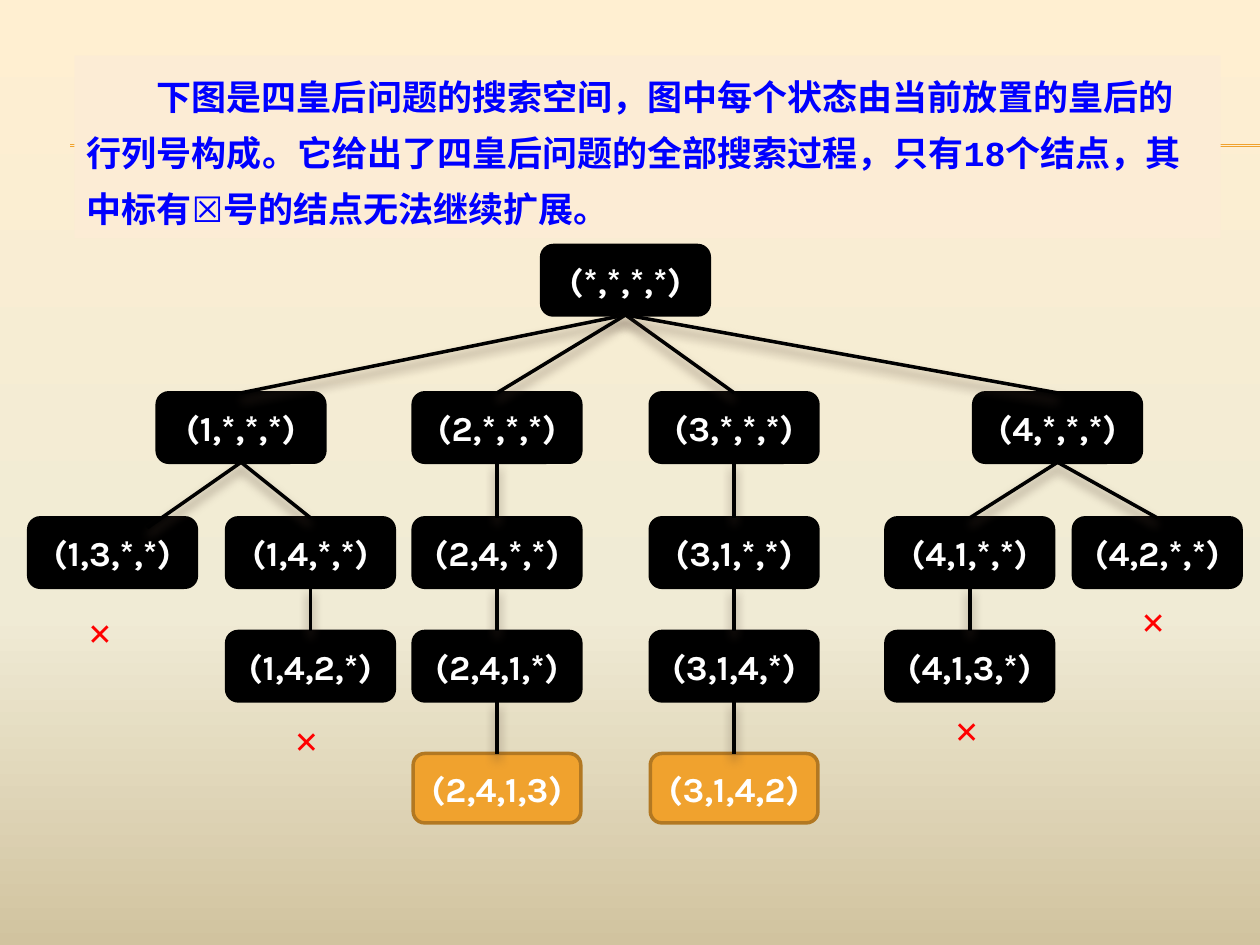
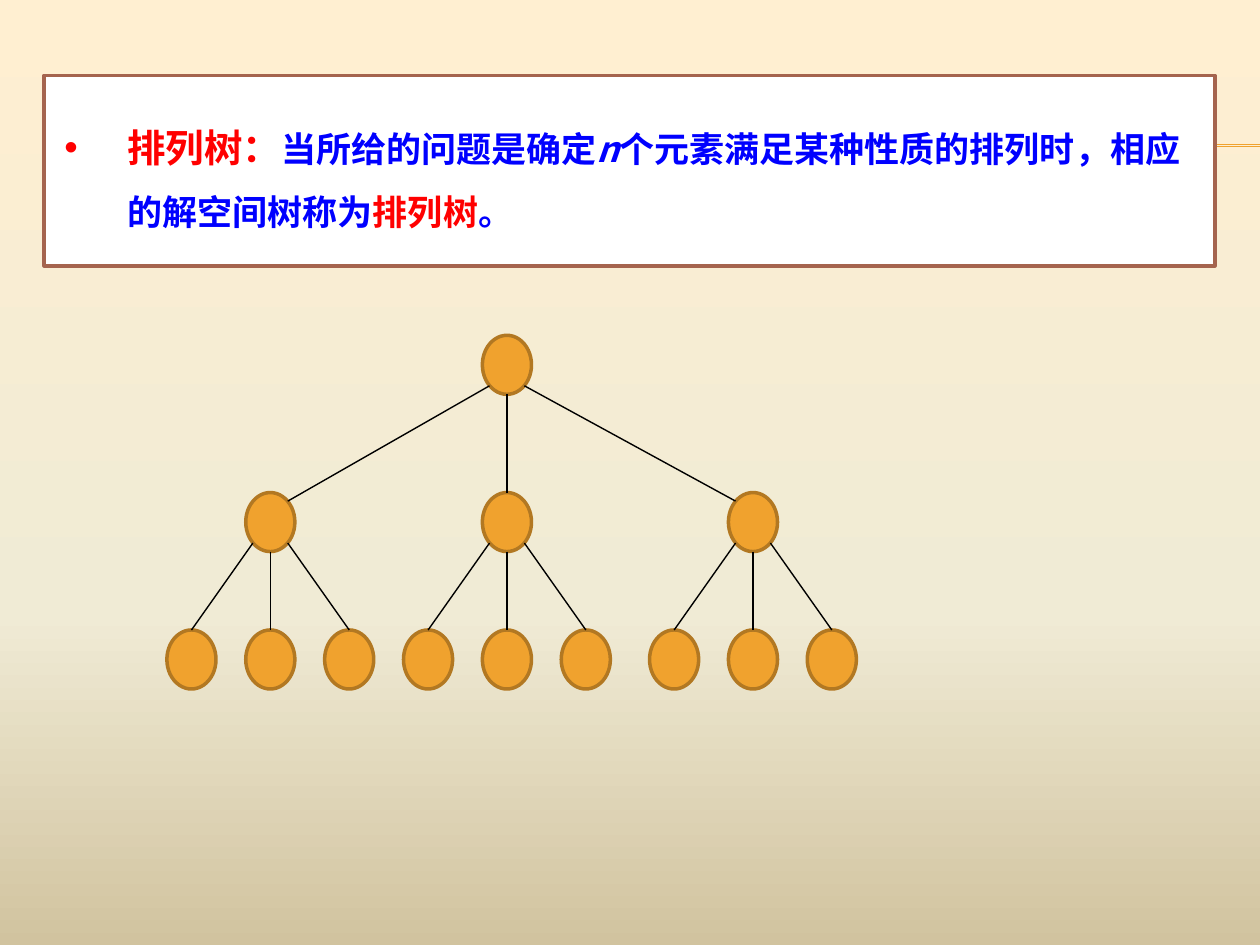
from lxml import etree
from pptx import Presentation
from pptx import util as u
from pptx.dml.color import RGBColor
from pptx.enum import shapes, text
from pptx.oxml import ns

# Shared look
CREAM = RGBColor(0xFF, 0xEF, 0xD1)
IVORY = RGBColor(0xF0, 0xEB, 0xD5)
SAND = RGBColor(0xD1, 0xC3, 0x9F)
PEACH = RGBColor(0xFC, 0xEC, 0xD5)
ORANGE = RGBColor(0xF0, 0xA2, 0x2E)
BROWN = RGBColor(0xB2, 0x78, 0x22)
RUST = RGBColor(0xA5, 0x64, 0x4E)
SHADE = RGBColor(0x4E, 0x3B, 0x30)
BLACK = RGBColor(0, 0, 0)
WHITE = RGBColor(0xFF, 0xFF, 0xFF)
BLUE = RGBColor(0, 0, 0xFF)
RED = RGBColor(0xFF, 0, 0)
MONO, SANS, NODE_FONT, CROSS_FONT = "Courier New", "Noto Sans CJK SC", "Karla", "Times New Roman"
BACKDROP = [(0, CREAM), (65, IVORY), (100, SAND)]
RULE_LEFT, RULE_RIGHT, RULE_TOPS = 1.42, 25.4, (2.92, 2.95)

# Slide 1: search space of the four queens problem (lengths in cm)
QUEENS_INTRO = ("下图是四皇后问题的搜索空间，图中每个状态由当前放置的皇后的行列号构成。"
                "它给出了四皇后问题的全部搜索过程，只有18个结点，其中标有☒号的结点无法继续扩展。")
STATE_W, STATE_H = 3.38, 1.4
LEVEL_TOPS = [4.95, 7.92, 10.44, 12.73, 15.19]
STATE_CENTRES = {  # placed queens -> centre of the state
    "": 12.61,
    "1": 4.86, "13": 2.27, "14": 6.26, "142": 6.26,
    "2": 10.02, "24": 10.02, "241": 10.02, "2413": 10.02,
    "3": 14.8, "31": 14.8, "314": 14.8, "3142": 14.8,
    "4": 21.32, "41": 19.55, "413": 19.55, "42": 23.33,
}
INNER_ENDS = {"13": (2.97, 10.64)}  # link that stops inside its state
DEAD_ENDS = {"13": (1.78, 12.22), "142": (5.94, 14.4), "413": (19.25, 14.2), "42": (23.01, 12.01)}

# Slide 2: permutation tree
PERMUTATION_TEXT = [  # words, size, font, colour, italic
    ("排列树：", 22, SANS, RED, False),
    ("当所给的问题是确定", 20, MONO, BLUE, False),
    ("n", 20, SANS, BLUE, True),
    ("个元素满足某种性质的排列时，相应的解空间树称为", 20, MONO, BLUE, False),
    ("排列树", 20, MONO, RED, False),
    ("。", 20, MONO, BLUE, False),
]
DOT_W, DOT_H = 0.99, 1.19
ROOT_TOP, BRANCH_TOP, LEAF_TOP = 6.76, 9.93, 12.7
ROOT_CENTRE, BRANCH_CENTRES, LEAF_STEP = 10.22, (5.45, 10.22, 15.18), 1.59
DIAGONAL = 0.71  # sine of 45 degrees


def add_box(slide, preset, left, top, width, height, fill, line=None):
    box = slide.shapes.add_shape(preset, u.Cm(left), u.Cm(top), u.Cm(width), u.Cm(height))
    box.shadow.inherit = False
    box.fill.solid()
    box.fill.fore_color.rgb = fill
    if line is None:
        box.line.fill.background()
    else:
        box.line.color.rgb = line
        box.line.width = u.Pt(2)
    return box


def add_run(paragraph, words, size, font, colour, italic=False):
    run = paragraph.add_run()
    run.text = words
    run.font.size = u.Pt(size)
    run.font.name = font
    run.font.bold = True
    run.font.italic = italic
    run.font.color.rgb = colour
    east_asian = etree.SubElement(run.font._element, ns.qn("a:ea"))
    east_asian.set("typeface", SANS)


def set_margins(frame, side, upright):
    frame.margin_left = frame.margin_right = u.Cm(side)
    frame.margin_top = frame.margin_bottom = u.Cm(upright)


def add_link(slide, start, end, colour, width, shaded=False):
    link = slide.shapes.add_connector(
        shapes.MSO_CONNECTOR.STRAIGHT, *[u.Cm(value) for value in (*start, *end)])
    link.line.color.rgb = colour
    link.line.width = u.Pt(width)
    effects = etree.SubElement(link._element.spPr, ns.qn("a:effectLst"))
    if shaded:
        shadow = etree.SubElement(effects, ns.qn("a:outerShdw"), blurRad=str(u.Pt(6)),
                                  dist=str(u.Pt(4)), dir="5400000", rotWithShape="0")
        tint = etree.SubElement(shadow, ns.qn("a:srgbClr"), val=str(SHADE))
        etree.SubElement(tint, ns.qn("a:alpha"), val="60000")
    return link


def paint_master(master):
    fill = master.background.fill
    fill.gradient()
    fill.gradient_angle = 270
    stops = master._element.find(".//" + ns.qn("a:gsLst"))
    for stop in list(stops):
        stops.remove(stop)
    for place, colour in BACKDROP:
        stop = etree.SubElement(stops, ns.qn("a:gs"), pos=str(place * 1000))
        etree.SubElement(stop, ns.qn("a:srgbClr"), val=str(colour))


def add_base_slide(deck):
    slide = deck.slides.add_slide(deck.slide_layouts[6])
    for top in RULE_TOPS:
        add_link(slide, (RULE_LEFT, top), (RULE_RIGHT, top), ORANGE, 0.75)
    return slide


def add_panel(slide, left, top, width, height, fill, line=None):
    panel = add_box(slide, shapes.MSO_SHAPE.RECTANGLE, left, top, width, height, fill, line)
    frame = panel.text_frame
    frame.word_wrap = True
    frame.vertical_anchor = text.MSO_ANCHOR.TOP
    frame.paragraphs[0].alignment = text.PP_ALIGN.LEFT
    return frame


def add_state(slide, queens, centre):
    solved = len(queens) == 4
    state = add_box(slide, shapes.MSO_SHAPE.ROUNDED_RECTANGLE, centre - STATE_W / 2,
                    LEVEL_TOPS[len(queens)], STATE_W, STATE_H,
                    ORANGE if solved else BLACK, BROWN if solved else BLACK)
    frame = state.text_frame
    frame.word_wrap = False
    frame.vertical_anchor = text.MSO_ANCHOR.MIDDLE
    label = frame.paragraphs[0]
    label.alignment = text.PP_ALIGN.CENTER
    add_run(label, f"({','.join(queens.ljust(4, '*'))})", 20, NODE_FONT, WHITE)
    return state


def build_queens(deck):
    slide = add_base_slide(deck)
    # Introduction
    intro = add_panel(slide, 1.5, 1.12, 23.11, 3.68, PEACH).paragraphs[0]
    intro.line_spacing = u.Pt(32)
    intro._p.get_or_add_pPr().set("indent", str(u.Cm(1.41)))
    add_run(intro, QUEENS_INTRO, 20, MONO, BLUE)

    # States, then the links from each parent
    states = {queens: add_state(slide, queens, centre) for queens, centre in STATE_CENTRES.items()}
    for queens, state in states.items():
        if not queens:
            continue
        parent = queens[:-1]
        start = (STATE_CENTRES[parent], LEVEL_TOPS[len(parent)] + STATE_H)
        end = INNER_ENDS.get(queens, (STATE_CENTRES[queens], LEVEL_TOPS[len(queens)]))
        link = add_link(slide, start, end, BLACK, 2, shaded=True)
        link.begin_connect(states[parent], 2)
        if queens not in INNER_ENDS:
            link.end_connect(state, 0)

    # Crosses under the dead ends
    for left, top in DEAD_ENDS.values():
        cross = slide.shapes.add_textbox(u.Cm(left), u.Cm(top), u.Cm(0.79), u.Cm(1.02)).text_frame
        set_margins(cross, 0, 0)
        cross.word_wrap = True
        add_run(cross.paragraphs[0], "×", 24, CROSS_FONT, RED)


def add_dot(slide, centre, top):
    return add_box(slide, shapes.MSO_SHAPE.OVAL, centre - DOT_W / 2, top, DOT_W, DOT_H, ORANGE, BROWN)


def rim(centre, top, across, down):
    """Point on a dot's edge; across and down are -1, 0 or 1."""
    reach = DIAGONAL if across and down else 1
    return centre + across * reach * DOT_W / 2, top + DOT_H / 2 + down * reach * DOT_H / 2


def build_permutations(deck):
    slide = add_base_slide(deck)
    # Definition
    frame = add_panel(slide, 0.89, 1.52, 23.6, 3.84, WHITE, RUST)
    set_margins(frame, 0.41, 0.51)
    definition = frame.paragraphs[0]
    definition.line_spacing = 1.5
    layout = definition._p.get_or_add_pPr()
    layout.set("marL", str(u.Cm(1.27)))
    layout.set("indent", str(u.Cm(-1.27)))
    etree.SubElement(layout, ns.qn("a:buFont"), typeface="Arial")
    etree.SubElement(layout, ns.qn("a:buChar"), char="•")
    for part in PERMUTATION_TEXT:
        add_run(definition, *part)

    # Tree: one root, three branches, three leaves each
    add_dot(slide, ROOT_CENTRE, ROOT_TOP)
    for side, branch in zip((-1, 0, 1), BRANCH_CENTRES):
        add_dot(slide, branch, BRANCH_TOP)
        add_link(slide, rim(ROOT_CENTRE, ROOT_TOP, side, 1),
                 rim(branch, BRANCH_TOP, -side, -1), BLACK, 0.79)
        for turn in (-1, 0, 1):
            centre = branch + turn * LEAF_STEP
            leaf = add_dot(slide, centre, LEAF_TOP)
            link = add_link(slide, rim(branch, BRANCH_TOP, turn, 1),
                            rim(centre, LEAF_TOP, 0, -1), BLACK, 0.79)
            link.end_connect(leaf, 0)


def main():
    deck = Presentation()
    deck.slide_width, deck.slide_height = u.Cm(25.4), u.Cm(19.05)
    paint_master(deck.slide_master)
    build_queens(deck)
    build_permutations(deck)
    deck.save("out.pptx")


if __name__ == "__main__":
    main()
